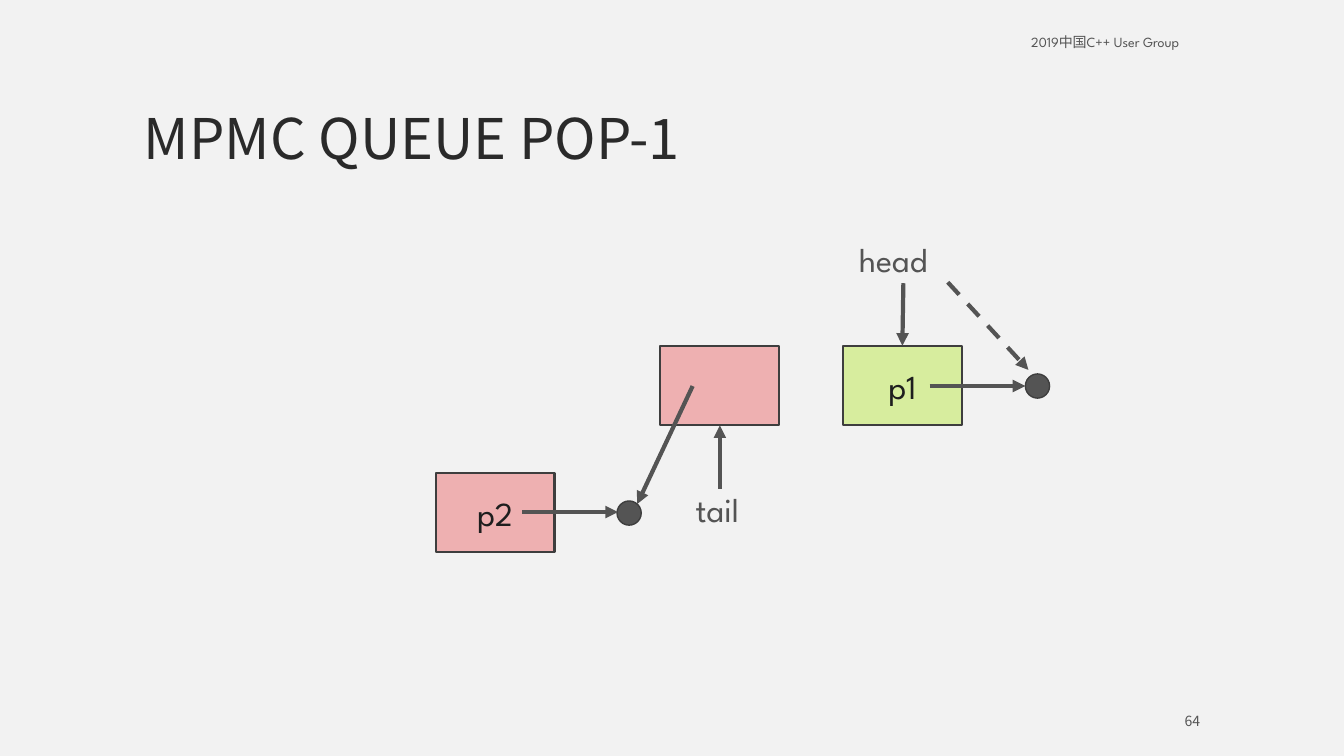
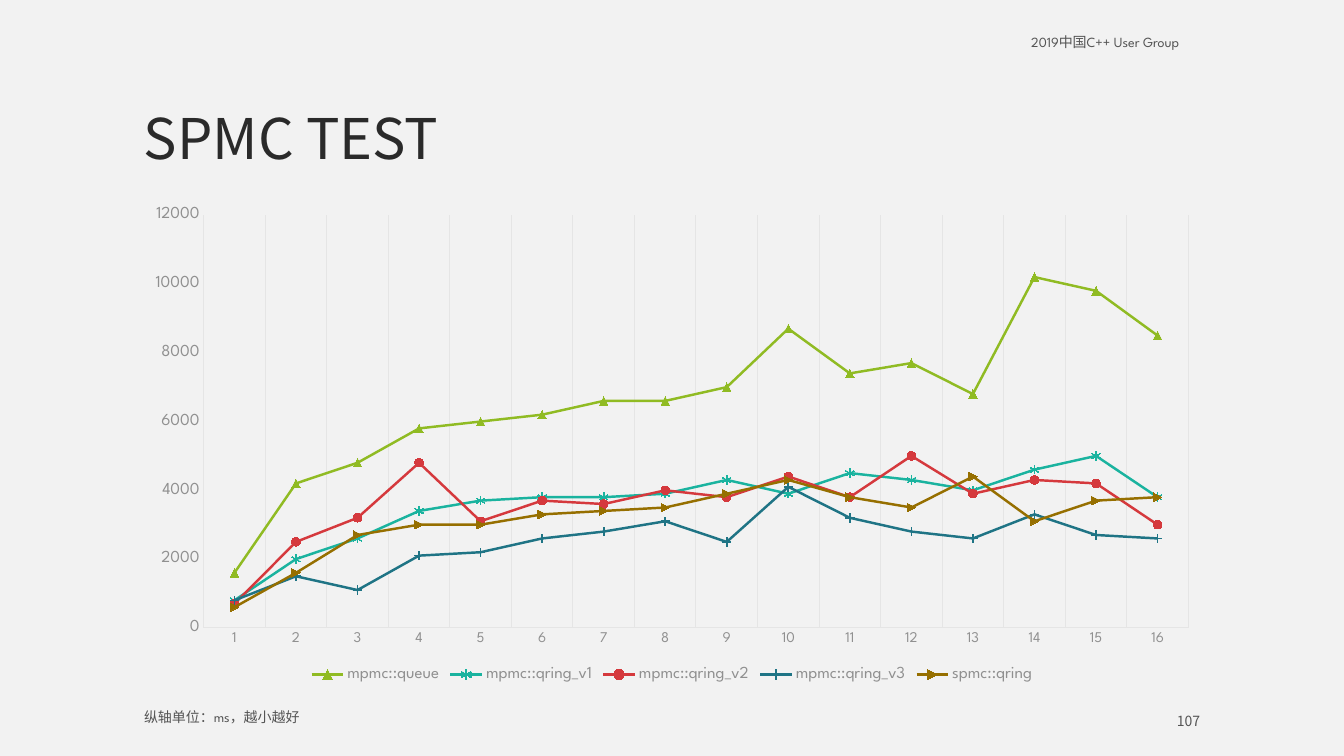
from typing import NamedTuple

from pptx import Presentation
from pptx.chart.data import CategoryChartData
from pptx.dml.color import RGBColor
from pptx.enum.chart import (XL_CHART_TYPE, XL_LEGEND_POSITION,
                             XL_MARKER_STYLE, XL_TICK_MARK)
from pptx.enum.dml import MSO_LINE
from pptx.enum.shapes import MSO_CONNECTOR, MSO_SHAPE
from pptx.enum.text import MSO_ANCHOR, PP_ALIGN
from pptx.oxml.ns import qn
from pptx.util import Inches, Pt

COLORS = {
    "paper": "F2F2F2", "title": "2A2A2A", "text": "545454", "ink": "1E1E1E",
    "edge": "3E3E3E", "pink": "EEB0B1", "lime": "D7ED9E",
    "axis": "909090", "grid": "E5E5E5",
    "green": "90BB23", "teal": "1AB39F", "red": "D5393D",
    "blue": "1F7485", "brown": "966F00",
}
BODY, HEAD = "League Spartan", "Noto Sans CJK SC"
LEFT, WIDE = 1.33, 10.67
NODE_W, NODE_H, DOT = 1.18, 0.79, 0.24
TOP, BOTTOM = 0, 2


class Node(NamedTuple):
    text: str
    x: float
    y: float
    fill: str


class Label(NamedTuple):
    text: str
    x: float
    y: float
    w: float


class Arrow(NamedTuple):
    x1: float
    y1: float
    x2: float
    y2: float
    dashed: bool = False
    node: str | None = None
    side: int = TOP


class Series(NamedTuple):
    name: str
    color: str
    mark: XL_MARKER_STYLE
    solid: bool
    vals: list[int]


NODES = [
    Node("", 6.55, 3.43, "pink"),
    Node("p1", 8.36, 3.43, "lime"),
    Node("p2", 4.32, 4.69, "pink"),
]
DOTS = [(10.17, 3.71), (6.12, 4.97)]
LABELS = [Label("tail", 6.8, 4.85, 0.68), Label("head", 8.42, 2.37, 1.09)]
ARROWS = [
    Arrow(7.14, 4.85, 7.14, 4.22, node="", side=BOTTOM),
    Arrow(8.96, 2.81, 8.96, 3.43, node="p1", side=TOP),
    Arrow(6.87, 3.83, 6.32, 5),
    Arrow(9.22, 3.83, 10.17, 3.83),
    Arrow(5.18, 5.08, 6.13, 5.08),
    Arrow(9.4, 2.8, 10.2, 3.67, dashed=True),
]
SERIES = [
    Series("mpmc::queue", "green", XL_MARKER_STYLE.TRIANGLE, True,
           [1600, 4200, 4800, 5800, 6000, 6200, 6600, 6600,
            7000, 8700, 7400, 7700, 6800, 10200, 9800, 8500]),
    Series("mpmc::qring_v1", "teal", XL_MARKER_STYLE.STAR, False,
           [800, 2000, 2600, 3400, 3700, 3800, 3800, 3900,
            4300, 3900, 4500, 4300, 4000, 4600, 5000, 3800]),
    Series("mpmc::qring_v2", "red", XL_MARKER_STYLE.CIRCLE, True,
           [700, 2500, 3200, 4800, 3100, 3700, 3600, 4000,
            3800, 4400, 3800, 5000, 3900, 4300, 4200, 3000]),
    Series("mpmc::qring_v3", "blue", XL_MARKER_STYLE.PLUS, False,
           [800, 1500, 1100, 2100, 2200, 2600, 2800, 3100,
            2500, 4100, 3200, 2800, 2600, 3300, 2700, 2600]),
    Series("spmc::qring", "brown", XL_MARKER_STYLE.DOT, True,
           [600, 1600, 2700, 3000, 3000, 3300, 3400, 3500,
            3900, 4300, 3800, 3500, 4400, 3100, 3700, 3800]),
]


def rgb(name: str) -> RGBColor:
    return RGBColor.from_string(COLORS[name])


def style(font, size: float, color: str, face: str = BODY) -> None:
    font.size, font.name = Pt(size), face
    font.color.rgb = rgb(color)


def stroke(line, color: str, width: float) -> None:
    line.color.rgb = rgb(color)
    line.width = Pt(width)


def write(frame, text: str, size: float, color: str, face: str = BODY,
          align=PP_ALIGN.LEFT, anchor=MSO_ANCHOR.TOP,
          space: float = 0.9) -> None:
    frame.text = text
    frame.word_wrap, frame.vertical_anchor = True, anchor
    para = frame.paragraphs[0]
    para.alignment, para.line_spacing = align, space
    for run in para.runs:
        style(run.font, size, color, face)
        east = run.font._element.makeelement(qn("a:ea"), {"typeface": HEAD})
        run.font._element.append(east)


def add_text(slide, text: str, x: float, y: float, w: float, h: float,
             size: float, color: str = "text", **look) -> None:
    box = slide.shapes.add_textbox(Inches(x), Inches(y), Inches(w), Inches(h))
    write(box.text_frame, text, size, color, **look)


def add_slide(deck, title: str, page: int):
    """Add a slide with the shared background, header, title and number."""
    slide = deck.slides.add_slide(deck.slide_layouts[6])
    slide.background.fill.solid()
    slide.background.fill.fore_color.rgb = rgb("paper")
    add_text(slide, "2019中国C++ User Group", 10.13, 0.3, 1.87, 0.25, 10)
    add_text(slide, title, LEFT, 0.3, WIDE, 1.45, 40, "title",
             face=HEAD, anchor=MSO_ANCHOR.BOTTOM)
    add_text(slide, str(page), 10.75, 7.05, 1.25, 0.2, 10, face=HEAD,
             align=PP_ALIGN.RIGHT, anchor=MSO_ANCHOR.MIDDLE, space=1.0)
    return slide


def add_form(slide, kind, x: float, y: float, w: float, h: float,
             fill: str, width: float):
    form = slide.shapes.add_shape(kind, Inches(x), Inches(y),
                                  Inches(w), Inches(h))
    form.shadow.inherit = False
    form.fill.solid()
    form.fill.fore_color.rgb = rgb(fill)
    stroke(form.line, "edge", width)
    return form


def add_arrow(slide, arrow: Arrow, nodes: dict) -> None:
    link = slide.shapes.add_connector(
        MSO_CONNECTOR.STRAIGHT, Inches(arrow.x1), Inches(arrow.y1),
        Inches(arrow.x2), Inches(arrow.y2))
    if arrow.node is not None:
        link.end_connect(nodes[arrow.node], arrow.side)
    stroke(link.line, "text", 3)
    if arrow.dashed:
        link.line.dash_style = MSO_LINE.DASH
    line = link.line._get_or_add_ln()
    line.append(line.makeelement(qn("a:tailEnd"), {"type": "triangle"}))
    props = link._element.spPr
    props.append(props.makeelement(qn("a:effectLst"), {}))


def draw_queue(deck) -> None:
    slide = add_slide(deck, "MPMC QUEUE POP-1", 64)
    nodes = {}
    for node in NODES:
        form = add_form(slide, MSO_SHAPE.RECTANGLE, node.x, node.y,
                        NODE_W, NODE_H, node.fill, 1.5)
        if node.text:
            write(form.text_frame, node.text, 24, "ink", space=1.0,
                  align=PP_ALIGN.CENTER, anchor=MSO_ANCHOR.MIDDLE)
        nodes[node.text] = form
    for x, y in DOTS:
        add_form(slide, MSO_SHAPE.OVAL, x, y, DOT, DOT, "text", 1)
    for label in LABELS:
        add_text(slide, label.text, label.x, label.y, label.w, 0.46, 24)
    for arrow in ARROWS:
        add_arrow(slide, arrow, nodes)


def style_axis(axis, size: float, grid: bool) -> None:
    axis.major_tick_mark = axis.minor_tick_mark = XL_TICK_MARK.NONE
    style(axis.tick_labels.font, size, "axis")
    stroke(axis.format.line, "grid", 0.75)
    axis.has_major_gridlines = grid
    if grid:
        stroke(axis.major_gridlines.format.line, "grid", 0.75)


def style_plot(plot, item: Series) -> None:
    plot.smooth = False
    stroke(plot.format.line, item.color, 1.75)
    mark = plot.marker
    mark.style, mark.size = item.mark, 6
    if item.solid:
        mark.format.fill.solid()
        mark.format.fill.fore_color.rgb = rgb(item.color)
    else:
        mark.format.fill.background()
    stroke(mark.format.line, item.color, 0.75)


def draw_test(deck) -> None:
    slide = add_slide(deck, "SPMC TEST", 107)
    add_text(slide, "纵轴单位：ms，越小越好", LEFT, 7, 1.79, 0.25, 10)
    data = CategoryChartData()
    data.categories = [str(n) for n in range(1, 17)]
    for item in SERIES:
        data.add_series(item.name, item.vals)
    chart = slide.shapes.add_chart(
        XL_CHART_TYPE.LINE_MARKERS, Inches(LEFT), Inches(1.96),
        Inches(WIDE), Inches(4.85), data).chart
    style(chart.font, 10, "text")
    chart.has_title = False
    chart.has_legend = True
    chart.legend.position = XL_LEGEND_POSITION.BOTTOM
    chart.legend.include_in_layout = False
    style(chart.legend.font, 12, "axis")
    style_axis(chart.category_axis, 10.6, True)
    style_axis(chart.value_axis, 12, False)
    chart.value_axis.minimum_scale = 0
    chart.value_axis.maximum_scale = 12000
    chart.value_axis.major_unit = 2000
    chart.plots[0].vary_by_categories = False
    for plot, item in zip(chart.plots[0].series, SERIES):
        style_plot(plot, item)


def main() -> None:
    deck = Presentation()
    deck.slide_width, deck.slide_height = Inches(13.33), Inches(7.5)
    draw_queue(deck)
    draw_test(deck)
    deck.save("out.pptx")


if __name__ == "__main__":
    main()
